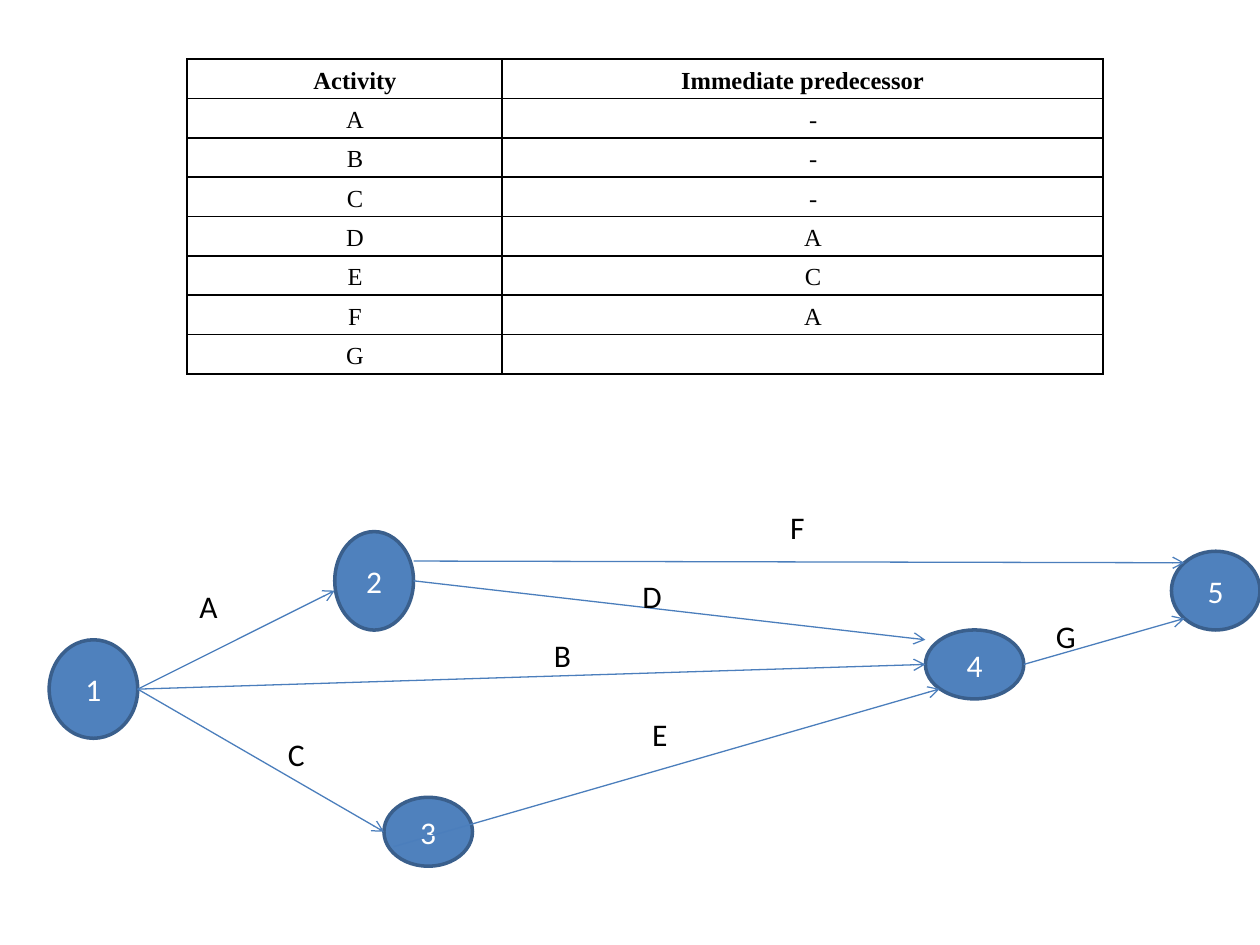
"""Build a slide with an activity precedence table and its network diagram."""
from dataclasses import dataclass

from lxml.etree import SubElement
from pptx import Presentation
from pptx.dml.color import RGBColor
from pptx.enum.shapes import MSO_CONNECTOR, MSO_SHAPE
from pptx.enum.text import MSO_ANCHOR, MSO_AUTO_SIZE, PP_ALIGN
from pptx.oxml.ns import qn
from pptx.util import Pt


@dataclass(frozen=True)
class Event:
    number: str
    left: float
    top: float
    width: float
    height: float


@dataclass(frozen=True)
class Activity:
    name: str
    start: tuple[float, float]
    finish: tuple[float, float]
    label: tuple[float, float]
    label_width: float


EVENTS = [
    Event("1", 28.1, 365.6, 50.6, 56.3),
    Event("2", 191.3, 303.8, 45, 56.3),
    Event("3", 219.4, 455.6, 50.6, 39.4),
    Event("4", 528.8, 360, 56.2, 39.4),
    Event("5", 669.4, 315, 50.6, 45),
]
PROJECT_START = (78.7, 393.8)
ACTIVITIES = [
    Activity("A", PROJECT_START, (191.3, 337.5), (106.9, 331.9), 39.4),
    Activity("B", PROJECT_START, (528.8, 379.7), (309.4, 360), 28.1),
    Activity("C", PROJECT_START, (219.4, 475.3), (157.5, 416.3), 39.4),
    Activity("D", (236.3, 331.9), (528.8, 365.6), (360, 326.3), 33.8),
    Activity("E", (225, 483.8), (537, 393.7), (365.6, 405), 16.9),
    Activity("F", (236.3, 320.6), (676.8, 321.6), (444.4, 286.9), 22.5),
    Activity("G", (585, 379.7), (676.8, 353.4), (596.3, 348.8), 33.8),
]
PRECEDENCE = [
    ("Activity", "Immediate predecessor"),
    ("A", "-"),
    ("B", "-"),
    ("C", "-"),
    ("D", "A"),
    ("E", "C"),
    ("F", "A"),
    ("G", ""),
]
COLUMN_WIDTHS = (180, 343.5)
ROW_HEIGHT = 22.5
DIAGRAM_FONT = {"name": "Calibri", "size": Pt(18)}
TABLE_FONT = {"name": "Times New Roman", "size": Pt(14)}
CELL_FORMAT = {
    "margin_left": Pt(5),
    "margin_right": Pt(5),
    "margin_top": 0,
    "margin_bottom": 0,
    "vertical_anchor": MSO_ANCHOR.MIDDLE,
}


def color(hex_value: str) -> RGBColor:
    return RGBColor.from_string(hex_value)


def apply_format(target, values: dict) -> None:
    for attribute, value in values.items():
        setattr(target, attribute, value)


def write(paragraph, wording: str, font: dict, hex_value: str) -> None:
    run = paragraph.add_run()
    run.text = wording
    apply_format(run.font, font)
    run.font.color.rgb = color(hex_value)


def add_borders(cell) -> None:
    properties = cell._tc.get_or_add_tcPr()
    for side in ("a:lnL", "a:lnR", "a:lnT", "a:lnB"):
        border = SubElement(properties, qn(side), w=str(Pt(1)))
        fill = SubElement(border, qn("a:solidFill"))
        SubElement(fill, qn("a:srgbClr"), val="000000")


def draw_precedence(slide) -> None:
    frame = slide.shapes.add_table(
        len(PRECEDENCE), len(COLUMN_WIDTHS), Pt(106.9), Pt(33.8),
        Pt(sum(COLUMN_WIDTHS)), Pt(ROW_HEIGHT * len(PRECEDENCE)),
    )
    table = frame.table
    apply_format(table, {"first_row": False, "horz_banding": False})
    for column, width in zip(table.columns, COLUMN_WIDTHS):
        column.width = Pt(width)
    for row_index, entries in enumerate(PRECEDENCE):
        table.rows[row_index].height = Pt(ROW_HEIGHT)
        for column_index, wording in enumerate(entries):
            cell = table.cell(row_index, column_index)
            apply_format(cell, CELL_FORMAT)
            add_borders(cell)
            cell.fill.background()
            if not wording:
                continue
            paragraph = cell.text_frame.paragraphs[0]
            apply_format(paragraph, {"alignment": PP_ALIGN.CENTER, "line_spacing": 1.15})
            if (row_index, column_index) != (0, 1):
                paragraph._p.get_or_add_pPr().set("indent", str(Pt(12)))
            write(paragraph, wording, {**TABLE_FONT, "bold": row_index == 0}, "000000")


def draw_event(slide, event: Event) -> None:
    node = slide.shapes.add_shape(
        MSO_SHAPE.OVAL, Pt(event.left), Pt(event.top), Pt(event.width), Pt(event.height)
    )
    node.shadow.inherit = False
    node.fill.solid()
    node.fill.fore_color.rgb = color("4F81BD")
    node.line.color.rgb = color("3A5F8C")
    node.line.width = Pt(2)
    node.text_frame.vertical_anchor = MSO_ANCHOR.MIDDLE
    paragraph = node.text_frame.paragraphs[0]
    paragraph.alignment = PP_ALIGN.CENTER
    write(paragraph, event.number, DIAGRAM_FONT, "FFFFFF")


def draw_activity(slide, activity: Activity) -> None:
    ends = [Pt(length) for length in activity.start + activity.finish]
    arrow = slide.shapes.add_connector(MSO_CONNECTOR.STRAIGHT, *ends)
    arrow.line.color.rgb = color("4B7EBC")
    arrow.line.width = Pt(0.75)
    SubElement(arrow.line._get_or_add_ln(), qn("a:tailEnd"), type="arrow")
    SubElement(arrow._element.spPr, qn("a:effectLst"))

    left, top = activity.label
    label = slide.shapes.add_textbox(Pt(left), Pt(top), Pt(activity.label_width), Pt(29))
    apply_format(
        label.text_frame, {"word_wrap": True, "auto_size": MSO_AUTO_SIZE.SHAPE_TO_FIT_TEXT}
    )
    write(label.text_frame.paragraphs[0], activity.name, DIAGRAM_FONT, "000000")


def main() -> None:
    presentation = Presentation()
    apply_format(presentation, {"slide_width": Pt(720), "slide_height": Pt(540)})
    slide = presentation.slides.add_slide(presentation.slide_layouts.get_by_name("Blank"))
    draw_precedence(slide)
    for event in EVENTS:
        draw_event(slide, event)
    for activity in ACTIVITIES:
        draw_activity(slide, activity)
    presentation.save("out.pptx")


if __name__ == "__main__":
    main()
